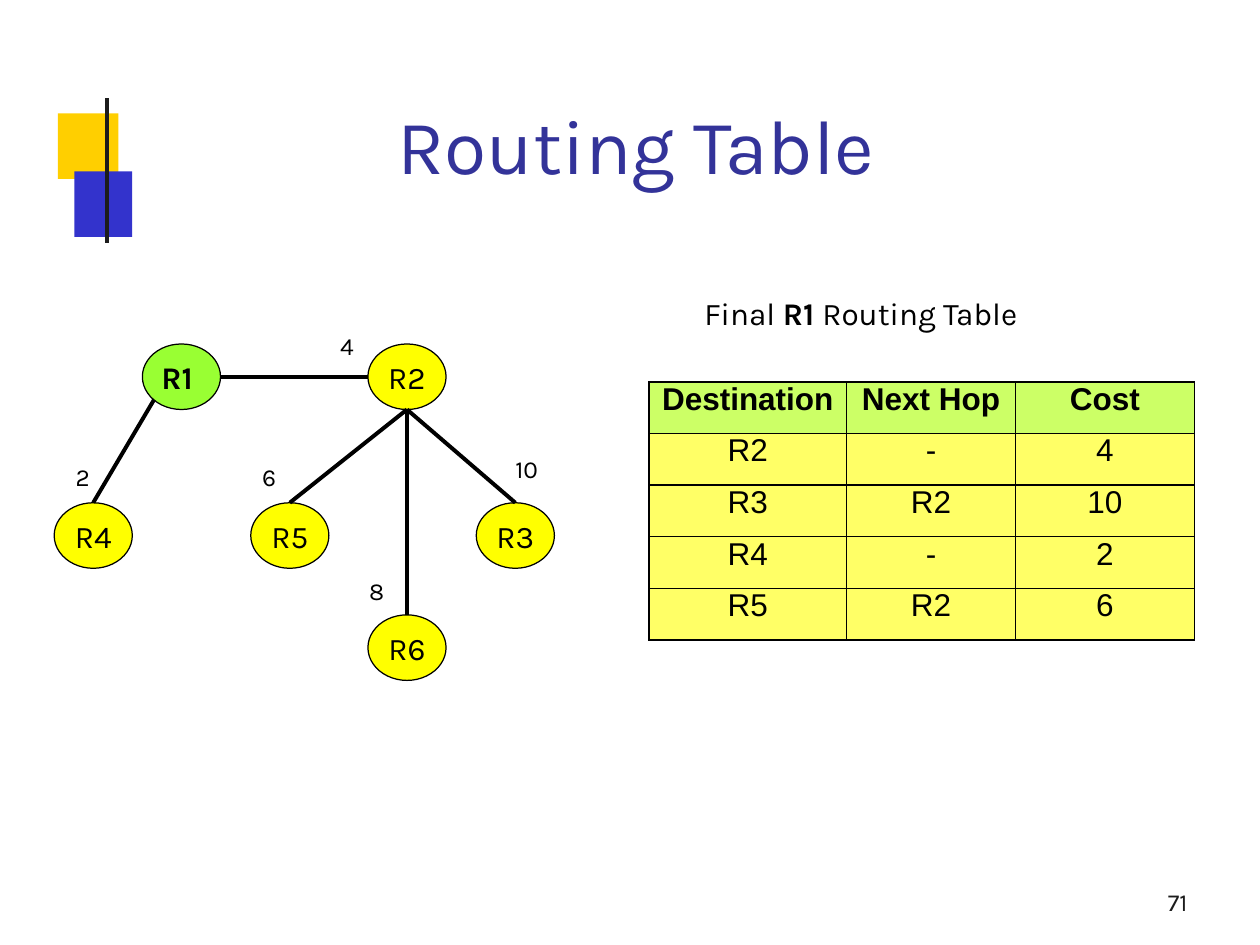
from pptx import Presentation
from pptx.dml.color import RGBColor
from pptx.enum.shapes import MSO_CONNECTOR, MSO_SHAPE
from pptx.enum.text import MSO_ANCHOR, PP_ALIGN
from pptx.oxml.ns import qn
from pptx.util import Inches, Pt
from lxml.etree import SubElement

COLORS = {
    "ink": "000000", "title": "333399", "rule": "1C1C1C",
    "gold": "FFCF00", "blue": "3333CC",
    "source": "99FF33", "router": "FFFF00",
    "header": "CCFF66", "body": "FFFF66",
}


def rgb(name):
    return RGBColor.from_string(COLORS[name])


class SlideBuilder:
    font = "Karla"
    table_font = "Arial"

    def __init__(self, slide):
        self.slide = slide
        self.shapes = slide.shapes

    def add_runs(self, paragraph, runs, size, color="ink", font=None, align=PP_ALIGN.LEFT):
        """Add (wording, bold) runs to a paragraph."""
        paragraph.alignment = align
        for wording, bold in runs:
            run = paragraph.add_run()
            run.text = wording
            run.font.name = font or self.font
            run.font.size = Pt(size)
            run.font.bold = bold
            run.font.color.rgb = rgb(color)

    def set_margins(self, holder, left=0, right=0):
        holder.margin_left, holder.margin_right = Inches(left), Inches(right)
        holder.margin_top = holder.margin_bottom = 0

    def text(self, left, top, width, height, runs, size, color="ink",
             indent=0.01, align=PP_ALIGN.LEFT, spacing=None, wrap=True):
        box = self.shapes.add_textbox(Inches(left), Inches(top), Inches(width), Inches(height))
        frame = box.text_frame
        frame.word_wrap = wrap
        self.set_margins(frame, left=indent)
        if spacing:
            frame.paragraphs[0].line_spacing = Pt(spacing)
        self.add_runs(frame.paragraphs[0], runs, size, color, align=align)

    def shape(self, kind, left, top, width, height, fill, outline=None):
        item = self.shapes.add_shape(kind, Inches(left), Inches(top), Inches(width), Inches(height))
        item.shadow.inherit = False
        item.fill.solid()
        item.fill.fore_color.rgb = rgb(fill)
        if outline:
            item.line.color.rgb = rgb("ink")
            item.line.width = Pt(outline)
        else:
            item.line.fill.background()
        return item

    def router(self, name, left, top, width, height, fill="router", bold=False, shift=0):
        node = self.shape(MSO_SHAPE.OVAL, left, top, width, height, fill, outline=0.72)
        frame = node.text_frame
        frame.word_wrap = False
        frame.vertical_anchor = MSO_ANCHOR.MIDDLE
        self.set_margins(frame, right=shift)
        self.add_runs(frame.paragraphs[0], [(name, bold)], 18, align=PP_ALIGN.CENTER)
        return node

    def line(self, start, end, width, color="ink"):
        link = self.shapes.add_connector(
            MSO_CONNECTOR.STRAIGHT, *(Inches(value) for value in (*start, *end)))
        link.line.color.rgb = rgb(color)
        link.line.width = Pt(width)
        SubElement(link._element.spPr, qn("a:effectLst"))
        return link

    def border(self, cell, width=1):
        properties = cell._tc.get_or_add_tcPr()
        for index, side in enumerate(("a:lnL", "a:lnR", "a:lnT", "a:lnB")):
            edge = properties.makeelement(qn(side), {"w": str(Pt(width))})
            fill = SubElement(edge, qn("a:solidFill"))
            SubElement(fill, qn("a:srgbClr"), val=COLORS["ink"])
            properties.insert(index, edge)

    def table(self, left, top, widths, row_height, rows):
        grid = self.shapes.add_table(
            len(rows), len(widths), Inches(left), Inches(top),
            Inches(sum(widths)), Inches(row_height * len(rows))).table
        for column, width in zip(grid.columns, widths):
            column.width = Inches(width)
        for r, row in enumerate(rows):
            grid.rows[r].height = Inches(row_height)
            for c, wording in enumerate(row):
                cell = grid.cell(r, c)
                self.set_margins(cell)
                cell.fill.solid()
                cell.fill.fore_color.rgb = rgb("body" if r else "header")
                self.border(cell)
                self.add_runs(cell.text_frame.paragraphs[0], [(wording, r == 0)], 18,
                              font=self.table_font, align=PP_ALIGN.CENTER)


def main():
    deck = Presentation()
    deck.slide_width, deck.slide_height = Inches(10), Inches(7.5)
    page = SlideBuilder(deck.slides.add_slide(deck.slide_layouts[6]))

    # Corner ornament and title
    page.shape(MSO_SHAPE.RECTANGLE, 0.46, 0.9, 0.48, 0.52, "gold")
    page.shape(MSO_SHAPE.RECTANGLE, 0.59, 1.36, 0.46, 0.52, "blue")
    page.line((0.85, 0.78), (0.85, 1.93), 2.52, "rule")
    page.text(1.26, 0.78, 7.48, 0.73, [("Routing Table", False)], 44, "title",
              indent=0.1, align=PP_ALIGN.CENTER, spacing=52.5)

    # Final routing table with its caption
    page.table(5.15, 3.03, (1.57, 1.34, 1.42), 0.41, [
        ("Destination", "Next Hop", "Cost"),
        ("R2", "-", "4"),
        ("R3", "R2", "10"),
        ("R4", "-", "2"),
        ("R5", "R2", "6"),
    ])
    page.text(5.58, 2.33, 3, 0.3,
              [("Final ", False), ("R1 ", True), ("Routing Table", False)], 18)

    # Routers
    node_width, node_height = 0.62, 0.52
    places = {"R1": (1.13, 2.73), "R2": (2.92, 2.73), "R4": (0.43, 3.99),
              "R5": (1.99, 3.99), "R6": (2.92, 4.88), "R3": (3.78, 3.99)}
    routers = {}
    for name, (left, top) in places.items():
        look = {"fill": "source", "bold": True, "shift": 0.07} if name == "R1" else {}
        routers[name] = page.router(name, left, top, node_width, node_height, **look)

    def point(name, across, down):
        left, top = places[name]
        return left + node_width * across, top + node_height * down

    # Links: the tree hangs from R1 and R2
    page.line(point("R1", 1, 0.5), point("R2", 0, 0.5), 2.28)
    lower_left, bottom = point("R1", 0.15, 0.85), point("R2", 0.5, 1)
    for start, target in ((lower_left, "R4"), (bottom, "R5"), (bottom, "R6"), (bottom, "R3")):
        link = page.line(start, point(target, 0.5, 0), 2.28)
        link.end_connect(routers[target], 0)

    # Link costs
    for cost, left, top in (("2", 0.59, 3.67), ("4", 2.69, 2.63), ("6", 2.07, 3.67),
                            ("8", 2.92, 4.57), ("10", 4.08, 3.6)):
        page.text(left, top, 0.12 * len(cost) + 0.02, 0.24, [(cost, False)], 14, wrap=False)

    # Page number
    page.text(9.24, 7.04, 0.47, 0.25, [("71", False)], 14, "rule", indent=0.03)

    deck.save("out.pptx")


if __name__ == "__main__":
    main()
